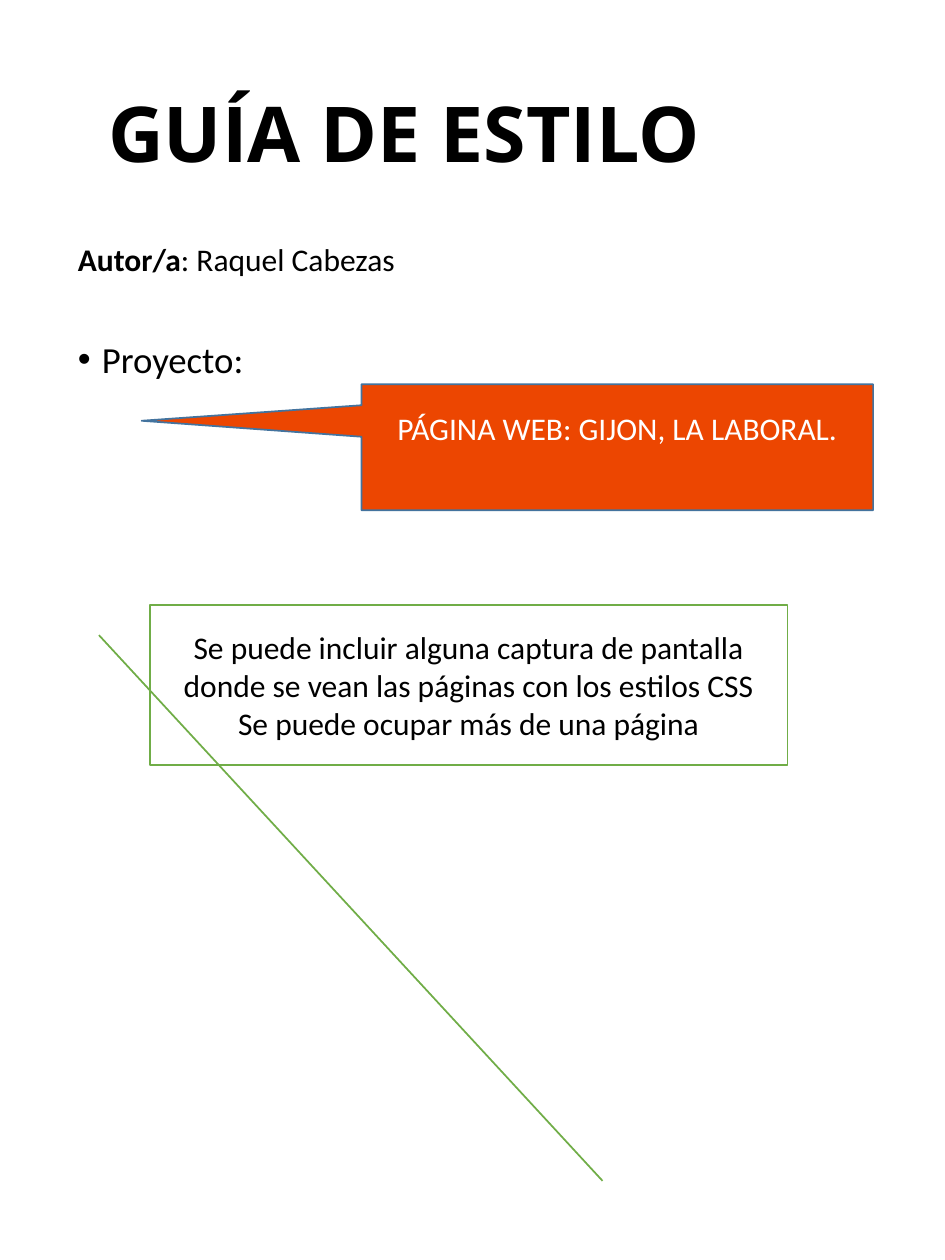
from pptx import Presentation
from pptx.dml.color import RGBColor as RGB
from pptx.enum.shapes import MSO_SHAPE as SHAPE
from pptx.enum.text import MSO_ANCHOR as ANCHOR, PP_ALIGN as ALIGN
from pptx.oxml.ns import qn
from pptx.util import Inches, Pt
from lxml.etree import SubElement as sub

BLACK = RGB(0x00, 0x00, 0x00)
WHITE = RGB(0xFF, 0xFF, 0xFF)
ORANGE = RGB(0xEC, 0x46, 0x01)
BLUE = RGB(0x43, 0x73, 0x9E)
GREEN = RGB(0x70, 0xAD, 0x47)

COLS, ROWS = 30, 40


class Page:
    """Style and current slide; boxes are (column, row, columns, rows)."""

    font = "Calibri"
    size = 18

    def __init__(self, deck):
        self.slide = deck.slides.add_slide(deck.slide_layouts[6])
        self.col = deck.slide_width / COLS
        self.row = deck.slide_height / ROWS

    def place(self, box):
        left, top, wide, high = box
        return (round(left * self.col), round(top * self.row),
                round(wide * self.col), round(high * self.row))

    def style(self, par, color, size=None, font=None, bold=None):
        par.font.name = font or self.font
        par.font.size = Pt(size or self.size)
        par.font.color.rgb = color
        par.font.bold = bold

    def text(self, box, words, **look):
        frame = self.slide.shapes.add_textbox(*self.place(box)).text_frame
        frame.word_wrap = True
        par = frame.paragraphs[0]
        for word, bold in words:
            run = par.add_run()
            run.text = word
            run.font.bold = bold
        self.style(par, BLACK, **look)
        return par

    def bullet(self, box, word, size):
        par = self.text(box, [(word, False)], size=size)
        par.line_spacing = 0.9
        par.space_before = Pt(7.5)
        props = par._p.get_or_add_pPr()
        props.set("marL", str(Inches(0.19)))
        props.set("indent", str(-Inches(0.19)))
        sub(props, qn("a:buFont"), typeface="Arial")
        sub(props, qn("a:buChar"), char="•")

    def callout(self, kind, box, tail, lines, fill, edge, color, foot=0.05):
        shape = self.slide.shapes.add_shape(kind, *self.place(box))
        shape.shadow.inherit = False
        for i, value in enumerate(tail):
            shape.adjustments[i] = value
        shape.fill.solid()
        shape.fill.fore_color.rgb = fill
        shape.line.color.rgb = edge
        shape.line.width = Pt(1)
        frame = shape.text_frame
        frame.word_wrap = True
        frame.vertical_anchor = ANCHOR.MIDDLE
        frame.margin_bottom = Inches(foot)
        frame.text = "\n".join(lines)
        for par in frame.paragraphs:
            par.alignment = ALIGN.CENTER
            self.style(par, color)


deck = Presentation()
deck.slide_width, deck.slide_height = Inches(7.5), Inches(10)
page = Page(deck)

# Project heading
page.bullet((2.08, 10.64, 25.64, 26.84), "Proyecto:", 21)

# Title
page.text((3.04, 2.52, 24.32, 3.36), [("GUÍA DE ESTILO", True)],
          size=44, font="Open Sans", bold=True)

# Project name
page.callout(SHAPE.RECTANGULAR_CALLOUT, (11.48, 12.2, 16.24, 4),
             (-0.93, -0.21), ["PÁGINA WEB: GIJON, LA LABORAL."],
             ORANGE, BLUE, WHITE, foot=0.35)

# Author
page.text((2.08, 7.44, 15, 1.6),
          [("Autor/a", True), (": Raquel Cabezas", False)])

# Advice with a leader line
page.callout(SHAPE.LINE_CALLOUT_1, (4.76, 19.2, 20.24, 5.08),
             (0.19, -0.08, 3.6, 0.71),
             ["Se puede incluir alguna captura de pantalla donde se vean "
              "las páginas con los estilos CSS",
              "Se puede ocupar más de una página"],
             WHITE, GREEN, BLACK)

deck.save("out.pptx")
